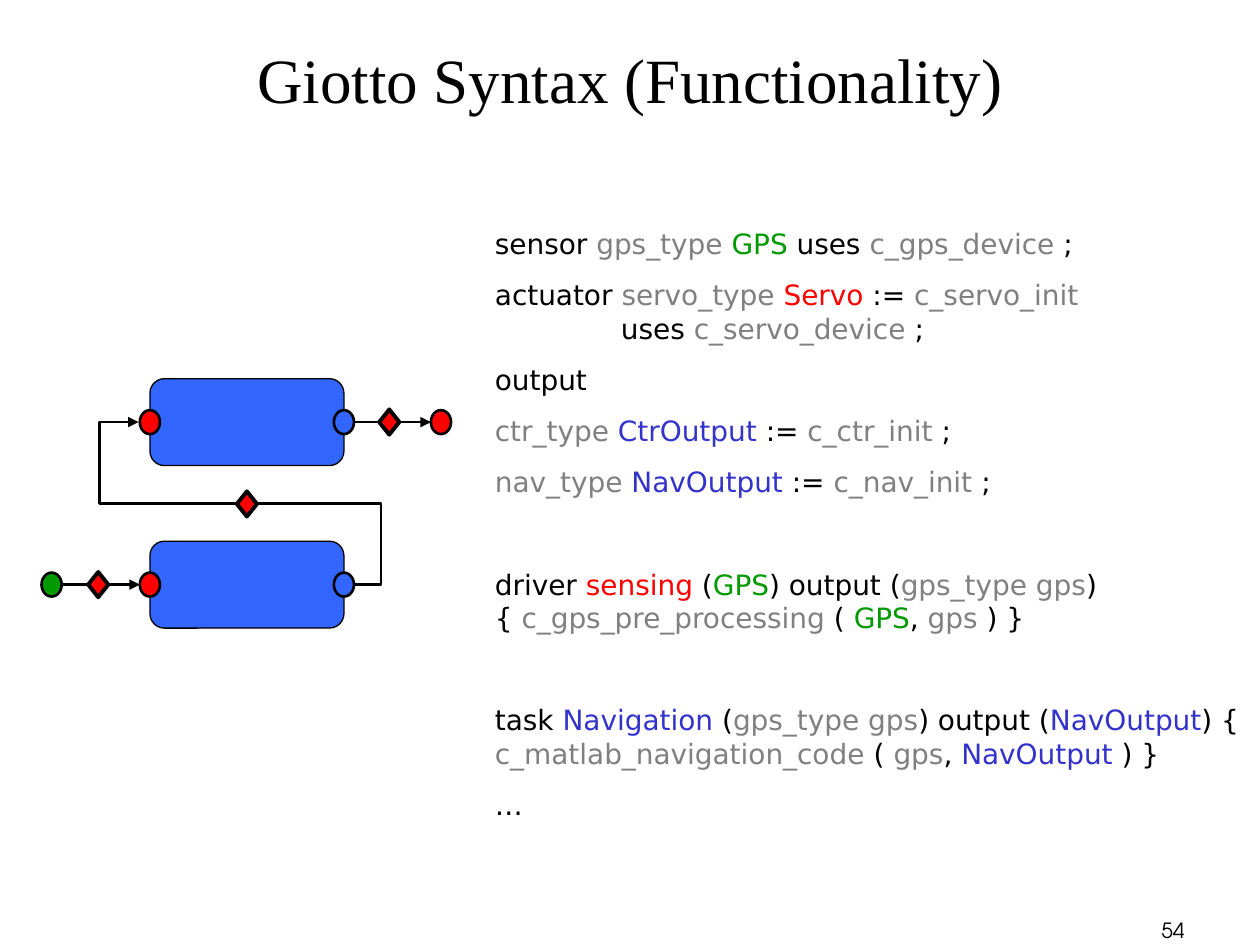
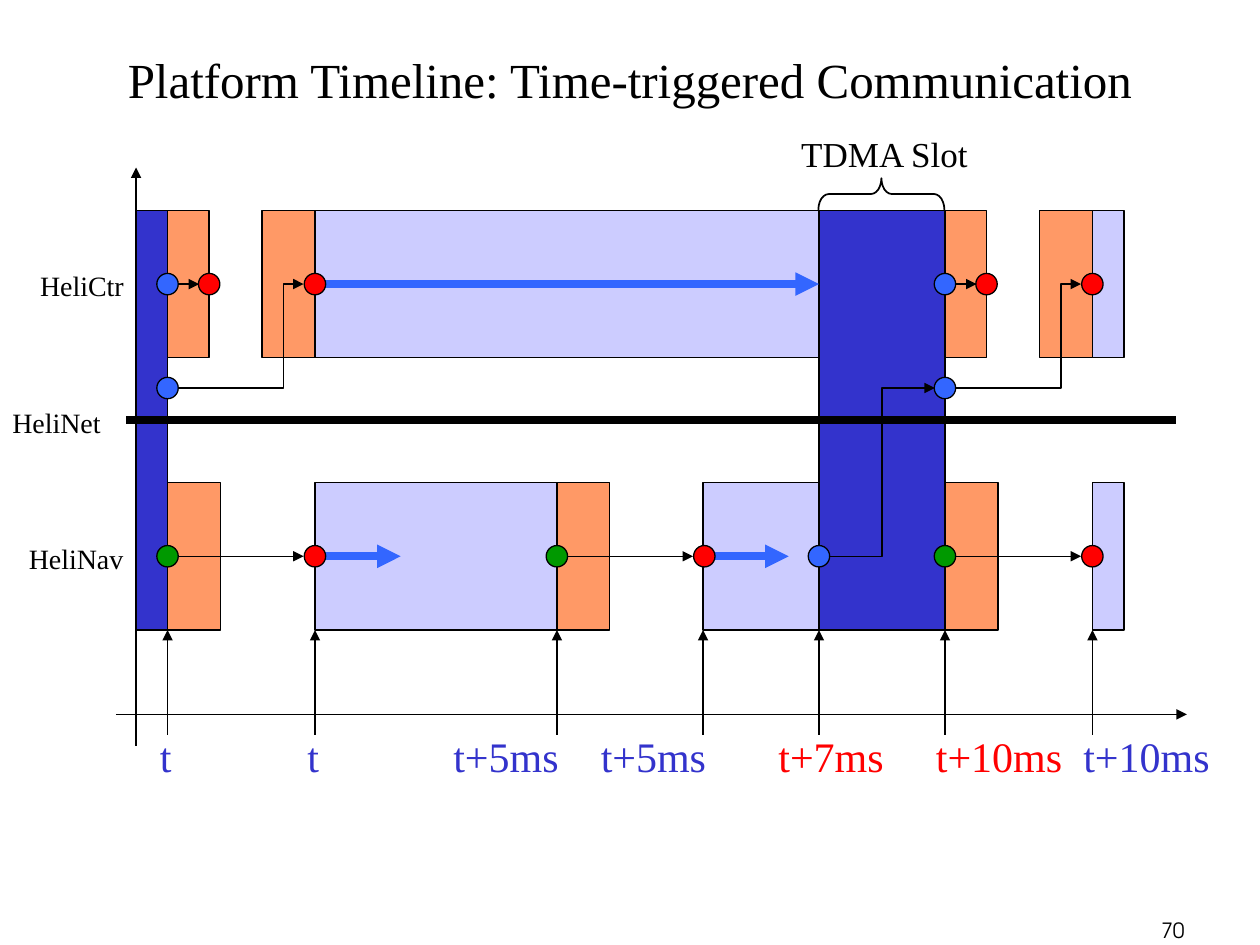
"""Build two slides on Giotto: program syntax and a time-triggered platform timeline."""
from lxml.etree import SubElement
from pptx import Presentation
from pptx.dml.color import RGBColor
from pptx.enum.shapes import MSO_CONNECTOR as Connector, MSO_SHAPE as Shape
from pptx.enum.text import MSO_ANCHOR as Anchor, MSO_AUTO_SIZE as AutoSize, PP_ALIGN as Align
from pptx.oxml.ns import qn
from pptx.util import Inches, Pt

BLACK = RGBColor(0x00, 0x00, 0x00)
GRAY = RGBColor(0x80, 0x80, 0x80)
GREEN = RGBColor(0x00, 0x99, 0x00)
RED = RGBColor(0xFF, 0x00, 0x00)
BLUE = RGBColor(0x33, 0x66, 0xFF)
INDIGO = RGBColor(0x33, 0x33, 0xCC)
LAVENDER = RGBColor(0xCC, 0xCC, 0xFF)
ORANGE = RGBColor(0xFF, 0x99, 0x66)

SERIF = "Times New Roman"
CODE_FONT = "DejaVu Sans"
NUMBER_FONT = "TeX Gyre Adventor"
BREAK = "\n"

CODE = [
    (0, [("sensor ", BLACK), ("gps_type ", GRAY), ("GPS", GREEN), (" uses ", BLACK),
         ("c_gps_device ", GRAY), (";", BLACK)]),
    (10, [("actuator ", BLACK), ("servo_type ", GRAY), ("Servo", RED), (" := ", BLACK),
          ("c_servo_init", GRAY), (BREAK, BLACK), ("\tuses ", BLACK),
          ("c_servo_device ", GRAY), (";", BLACK)]),
    (10, [("output", BLACK)]),
    (10, [("ctr_type ", GRAY), ("CtrOutput ", INDIGO), (":= ", BLACK),
          ("c_ctr_init ", GRAY), (";", BLACK)]),
    (10, [("nav_type ", GRAY), ("NavOutput", INDIGO), (" := ", BLACK),
          ("c_nav_init ", GRAY), (";", BLACK)]),
    (39.5, [("driver ", BLACK), ("sensing", RED), (" (", BLACK), ("GPS", GREEN),
            (") output (", BLACK), ("gps_type gps", GRAY), (")", BLACK), (BREAK, BLACK),
            ("{ ", BLACK), ("c_gps_pre_processing", GRAY), (" ( ", BLACK),
            ("GPS", GREEN), (", ", BLACK), ("gps", GRAY), (" ) }", BLACK)]),
    (39, [("task ", BLACK), ("Navigation", INDIGO), (" (", BLACK),
          ("gps_type gps", GRAY), (") output (", BLACK), ("NavOutput", INDIGO),
          (") {", BLACK), (BREAK, BLACK), ("c_matlab_navigation_code", GRAY),
          (" ( ", BLACK), ("gps", GRAY), (", ", BLACK), ("NavOutput ", INDIGO),
          (") }", BLACK)]),
    (10, [("…", BLACK)]),
]


class SlideWriter:
    """Hold the deck, its style and the slide being drawn."""

    def __init__(self):
        self.deck = Presentation()
        self.deck.slide_width, self.deck.slide_height = Inches(10), Inches(7.5)
        self.page = None

    def start(self, title, size, number, left, width):
        self.page = self.deck.slides.add_slide(self.deck.slide_layouts[5])
        box = self.page.shapes.title
        box.left, box.top, box.width, box.height = (Inches(v) for v in (left, 0, width, 1.25))
        frame = box.text_frame
        frame.auto_size, frame.vertical_anchor = AutoSize.NONE, Anchor.MIDDLE
        frame.paragraphs[0].alignment = Align.CENTER
        self.span(frame.paragraphs[0], title, size)
        self.label(7.42, 7.23, 2.08, 0.25, number, 12, font=NUMBER_FONT,
                   align=Align.RIGHT, wrap=True)

    def span(self, para, text, size, color=BLACK, font=SERIF):
        run = para.add_run()
        run.text = text
        run.font.size, run.font.name = Pt(size), font
        run.font.color.rgb = color

    def frame(self, left, top, width, height, wrap):
        box = self.page.shapes.add_textbox(*(Inches(v) for v in (left, top, width, height)))
        frame = box.text_frame
        frame.word_wrap = wrap
        frame.auto_size = AutoSize.NONE if wrap else AutoSize.SHAPE_TO_FIT_TEXT
        return frame

    def label(self, left, top, width, height, text, size, color=BLACK, font=SERIF,
              align=Align.LEFT, wrap=False):
        para = self.frame(left, top, width, height, wrap).paragraphs[0]
        para.alignment = align
        self.span(para, text, size, color, font)

    def code(self, left, top, width, height, lines, size):
        frame = self.frame(left, top, width, height, True)
        for index, (gap, spans) in enumerate(lines):
            para = frame.add_paragraph() if index else frame.paragraphs[0]
            tabs = SubElement(para._p.get_or_add_pPr(), qn("a:tabLst"))
            SubElement(tabs, qn("a:tab"), pos=str(Inches(1)), algn="l")
            para.space_before = Pt(gap)
            for text, color in spans:
                if text == BREAK:
                    para.add_line_break()
                else:
                    self.span(para, text, size, color, CODE_FONT)

    def shape(self, kind, left, top, width, height, fill, weight=0.75):
        shape = self.page.shapes.add_shape(
            kind, *(Inches(v) for v in (left, top, width, height)))
        shape.shadow.inherit = False
        if fill is None:
            shape.fill.background()
        else:
            shape.fill.solid()
            shape.fill.fore_color.rgb = fill
        shape.line.color.rgb, shape.line.width = BLACK, Pt(weight)
        return shape

    def marker(self, x, y, fill, width=0.17, height=0.17, weight=0.75, kind=Shape.OVAL):
        self.shape(kind, x - width / 2, y - height / 2, width, height, fill, weight)

    def line(self, start, end, weight=0.75, color=BLACK, arrow=True):
        return self.connector(Connector.STRAIGHT, start, end, weight, color, arrow)

    def connector(self, kind, start, end, weight, color, arrow):
        line = self.page.shapes.add_connector(kind, *(Inches(v) for v in (*start, *end)))
        line.line.color.rgb, line.line.width = color, Pt(weight)
        properties = line.element.spPr
        if arrow:
            SubElement(properties.find(qn("a:ln")), qn("a:tailEnd"), type="triangle")
        SubElement(properties, qn("a:effectLst"))
        return line

    def elbow(self, start, end, weight=0.75, arrow=True, bends=()):
        line = self.connector(Connector.ELBOW, start, end, weight, BLACK, arrow)
        geometry = line.element.spPr.find(qn("a:prstGeom"))
        geometry.set("prst", f"bentConnector{len(bends) + 2}")
        guides = geometry.find(qn("a:avLst"))
        if guides is None:
            guides = SubElement(geometry, qn("a:avLst"))
        for number, share in enumerate(bends, 1):
            SubElement(guides, qn("a:gd"), name=f"adj{number}",
                       fmla=f"val {round(share * 100000)}")
        return line

    def rising_elbow(self, start, end):
        middle_x, middle_y = (start[0] + end[0]) / 2, (start[1] + end[1]) / 2
        half_rise, half_run = (start[1] - end[1]) / 2, (end[0] - start[0]) / 2
        line = self.elbow((middle_x + half_rise, middle_y + half_run),
                          (middle_x - half_rise, middle_y - half_run))
        line.element.spPr.find(qn("a:xfrm")).set("rot", str(90 * 60000))


def draw_syntax(writer):
    writer.start("Giotto Syntax (Functionality)", 36, "54", 0.5, 9)
    writer.code(3.83, 1.75, 6.17, 4.82, CODE, 16)
    task_left, task_right, task_height = 1.19, 2.73, 0.69
    control_y, navigation_y = 3.35, 4.64
    for y in (navigation_y, control_y):
        writer.shape(Shape.FLOWCHART_ALTERNATE_PROCESS, task_left, y - task_height / 2,
                     task_right - task_left, task_height, BLUE)
    writer.elbow((task_right, navigation_y), (1.1, control_y), 1.5,
                 bends=(-0.18, 0.5, 1.19))
    writer.line((0.45, navigation_y), (1.11, navigation_y), 1.5)
    writer.line((2.77, control_y), (3.42, control_y), 1.5)
    for x, y, fill in ((0.41, navigation_y, GREEN), (3.5, control_y, RED)):
        writer.marker(x, y, fill, 0.16, 0.19, 1.5)
    for y in (navigation_y, control_y):
        writer.marker(task_left, y, RED, 0.16, 0.19, 1.5)
        writer.marker(task_right, y, BLUE, 0.16, 0.19, 1.5)
    for x, y in ((3.09, control_y), (0.78, navigation_y), (1.96, 4)):
        writer.marker(x, y, RED, 0.16, 0.2, 2.25, Shape.DIAMOND)


def draw_timeline(writer):
    writer.start("Platform Timeline: Time-triggered Communication", 28, "70", 0.75, 8.5)
    control_top, navigation_top, lane_height = 1.67, 3.83, 1.17
    control_y, navigation_y = (top + lane_height / 2 for top in (control_top, navigation_top))
    network_y = 3.08
    cycles = (1.33, 7.5)

    def bar(left, top, width, fill, height=lane_height):
        return writer.shape(Shape.RECTANGLE, left, top, width, height, fill)

    for left, width in ((1.08, 0.25), (6.5, 1)):
        bar(left, control_top, width, INDIGO, 3.33)
    control_run = bar(2.5, control_top, 4, LAVENDER)
    first_run = bar(2.5, navigation_top, 1.92, LAVENDER)
    second_run = bar(5.58, navigation_top, 0.92, LAVENDER)
    bar(4.42, navigation_top, 0.42, ORANGE)
    for top in (control_top, navigation_top):
        bar(8.67, top, 0.25, LAVENDER)
    for start in cycles:
        bar(start, control_top, 0.33, ORANGE)
        bar(start + 0.75, control_top, 0.42, ORANGE)
        bar(start, navigation_top, 0.42, ORANGE)

    writer.line((1.08, 5.92), (1.08, 1.33))
    writer.line((0.92, 5.67), (9.42, 5.67))
    writer.line((1, 3.33), (9.33, 3.33), 4.5, arrow=False)

    run_arrow = writer.line((2.5, control_y), (6.5, control_y), 4.5, BLUE)
    run_arrow.begin_connect(control_run, 1)
    run_arrow.end_connect(control_run, 3)
    for run, left in ((first_run, 2.5), (second_run, 5.58)):
        run_arrow = writer.line((left, navigation_y), (left + 0.68, navigation_y), 4.5, BLUE)
        run_arrow.begin_connect(run, 1)

    for start in (*cycles, 4.42):
        writer.line((start + 0.08, navigation_y), (start + 1.08, navigation_y))
        writer.marker(start, navigation_y, GREEN)
        writer.marker(start + 1.17, navigation_y, RED)
    for start in cycles:
        bend_x = start + 0.92
        writer.line((start + 0.08, control_y), (start + 0.25, control_y))
        writer.elbow((start + 0.08, network_y), (bend_x, 2.67), arrow=False)
        writer.line((bend_x, 2.5), (bend_x, 2.75), arrow=False)
        writer.rising_elbow((bend_x, 2.5), (start + 1.08, control_y))
        writer.marker(start, control_y, BLUE)
        writer.marker(start + 0.33, control_y, RED)
        writer.marker(start + 1.17, control_y, RED)
        writer.marker(start, network_y, BLUE)
    writer.elbow((6.58, navigation_y), (7.42, network_y), bends=(0.5,))
    writer.marker(6.5, navigation_y, BLUE)

    ticks = (
        (1.33, 1.17, 0.32, "t", INDIGO),
        (2.5, 2.34, 0.32, "t", INDIGO),
        (4.42, 3.5, 1.06, "t+5ms", INDIGO),
        (5.58, 4.67, 1.06, "t+5ms", INDIGO),
        (6.5, 6.08, 1.06, "t+7ms", RED),
        (7.5, 7.33, 1.23, "t+10ms", RED),
        (8.67, 8.5, 1.23, "t+10ms", INDIGO),
    )
    for x, left, width, text, color in ticks:
        writer.line((x, 5.83), (x, 5))
        writer.label(left, 5.75, width, 0.5, text, 24, color)
    for left, top, width, text in ((0.22, 2.08, 0.89, "HeliCtr"),
                                   (0, 3.17, 0.93, "HeliNet"),
                                   (0.13, 4.25, 0.98, "HeliNav")):
        writer.label(left, top, width, 0.37, text, 16)

    brace = writer.shape(Shape.LEFT_BRACE, 6.87, 1.04, 0.25, 1, None, 1)
    brace.rotation = 90
    brace.adjustments[0] = 0.33
    writer.label(6.25, 1, 1.54, 0.44, "TDMA Slot", 20, align=Align.CENTER)


def main():
    writer = SlideWriter()
    draw_syntax(writer)
    draw_timeline(writer)
    writer.deck.save("out.pptx")


if __name__ == "__main__":
    main()
